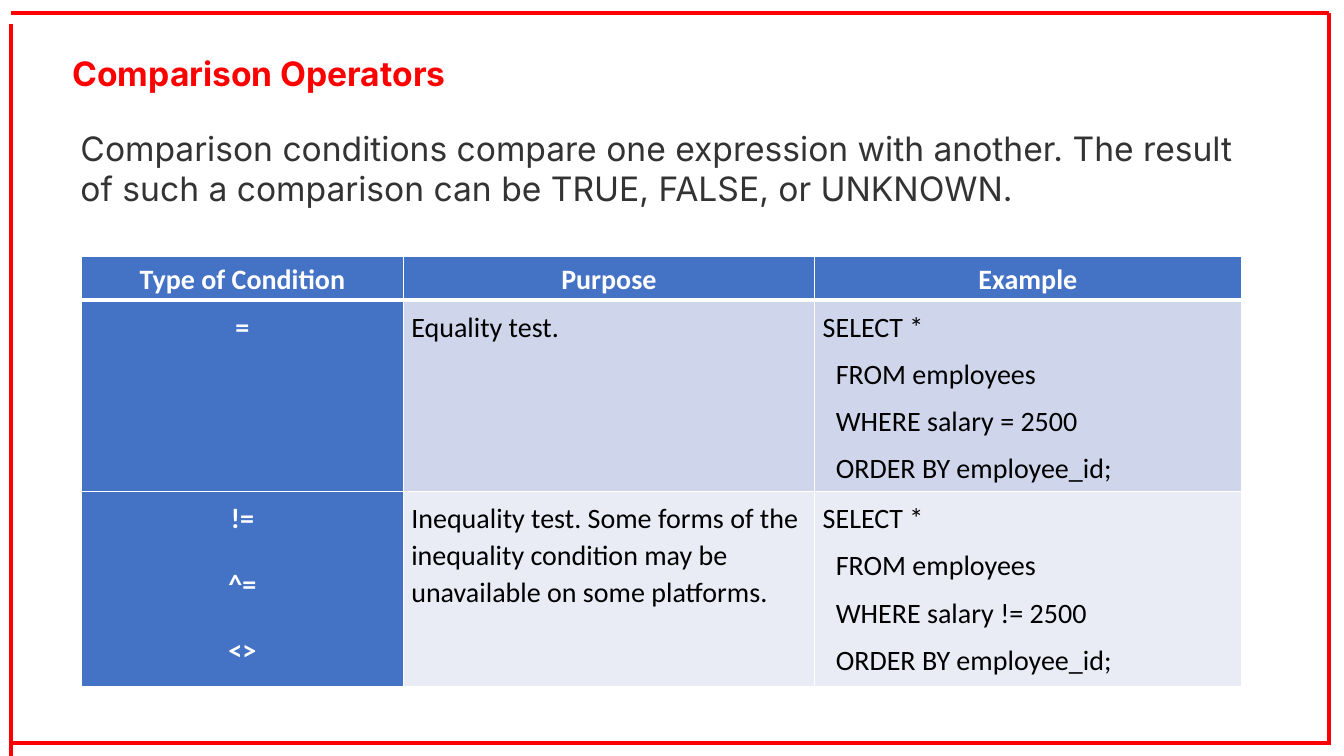
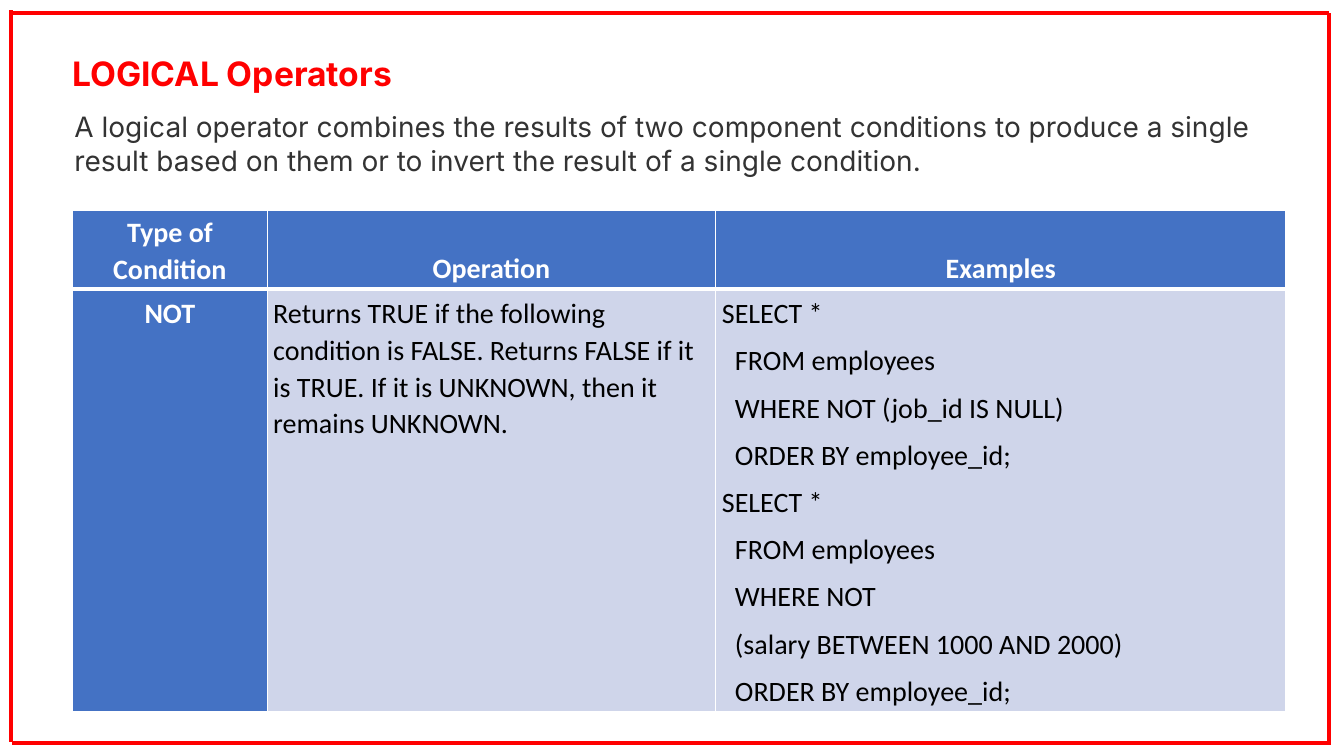
import lxml.etree
import pptx
import pptx.dml.color
import pptx.enum.shapes
import pptx.enum.text
import pptx.oxml.ns
import pptx.util

Inches = pptx.util.Inches
Pt = pptx.util.Pt
Align = pptx.enum.text.PP_ALIGN
Anchor = pptx.enum.text.MSO_ANCHOR
qn = pptx.oxml.ns.qn

RED, GREY, BLACK, WHITE, BLUE = "FF0000", "333333", "000000", "FFFFFF", "4472C4"
BANDS = ["CFD5EA", "E9EBF5"]
TITLE_FONT, TABLE_FONT = "Inter", "Calibri"
LINE_SPACING = 1.07
CODE_INDENT = 0.13

COMPARISON_ROWS = [
    [["Type of Condition"], ["Purpose"], ["Example"]],
    [["="], ["Equality test."],
     ["SELECT *", "FROM employees", "WHERE salary = 2500", "ORDER BY employee_id;"]],
    [["!=", "^=", "<>"],
     ["Inequality test. Some forms of the inequality condition may be unavailable on some platforms."],
     ["SELECT *", "FROM employees", "WHERE salary != 2500", "ORDER BY employee_id;"]],
]
LOGICAL_ROWS = [
    [["Type of Condition"], ["Operation"], ["Examples"]],
    [["NOT"],
     ["Returns TRUE if the following condition is FALSE. Returns FALSE if it is TRUE. "
      "If it is UNKNOWN, then it remains UNKNOWN."],
     ["SELECT *", "FROM employees", "WHERE NOT (job_id IS NULL)", "ORDER BY employee_id;",
      "SELECT *", "FROM employees", "WHERE NOT", "(salary BETWEEN 1000 AND 2000)",
      "ORDER BY employee_id;"]],
]


def colour(value):
    """Turn a hex string into a colour."""
    return pptx.dml.color.RGBColor.from_string(value)


def style_font(paragraph, name, size, value, bold=False):
    """Set the font of a whole paragraph."""
    font = paragraph.font
    font.name, font.size, font.bold = name, Pt(size), bold
    font.color.rgb = colour(value)


def add_text(page, box, text, size, value, bold=False, wrap=True):
    """Place one paragraph of text in a box."""
    frame = page.shapes.add_textbox(*map(Inches, box)).text_frame
    frame.word_wrap = wrap
    paragraph = frame.paragraphs[0]
    paragraph.text = text
    style_font(paragraph, TITLE_FONT, size, value, bold)


def add_frame(page, left_top, left_bottom):
    """Draw the four red border lines, the left one between the given heights."""
    left, right, top, bottom = 0.11, 13.18, 0.13, 7.37
    for ends in [
        (left, left_top, left, left_bottom),
        (right, top, right, 7.39),
        (left, top, right, top),
        (0.12, bottom, right, bottom),
    ]:
        line = page.shapes.add_connector(
            pptx.enum.shapes.MSO_CONNECTOR.STRAIGHT, *map(Inches, ends))
        line.line.color.rgb = colour(RED)
        line.line.width = Pt(3)
        lxml.etree.SubElement(line._element.spPr, qn("a:effectLst"))


def set_borders(cell, row):
    """Give a cell white borders, thick between header and body."""
    properties = cell._tc.get_or_add_tcPr()
    widths = {"L": 1, "R": 1, "T": 3 if row == 1 else 1, "B": 3 if row == 0 else 1}
    for side, width in widths.items():
        border = lxml.etree.SubElement(properties, qn(f"a:ln{side}"), w=str(Pt(width)))
        fill = lxml.etree.SubElement(border, qn("a:solidFill"))
        lxml.etree.SubElement(fill, qn("a:srgbClr"), val=WHITE)


def fill_cell(cell, row, column, lines, margin):
    """Write and style one table cell according to its row and column."""
    header, label, code = row == 0, column == 0, column == 2
    strong = header or label
    set_borders(cell, row)
    cell.fill.solid()
    cell.fill.fore_color.rgb = colour(BLUE if strong else BANDS[(row - 1) % 2])
    cell.vertical_anchor = Anchor.BOTTOM if header else Anchor.TOP
    inset = Inches(margin / 2 if header else margin)
    cell.margin_left = cell.margin_right = cell.margin_top = cell.margin_bottom = inset
    cell.text_frame.text = "\n".join(lines)
    for index, paragraph in enumerate(cell.text_frame.paragraphs):
        style_font(paragraph, TABLE_FONT, 20, WHITE if strong else BLACK, strong)
        paragraph.line_spacing = LINE_SPACING
        paragraph.alignment = Align.CENTER if strong else Align.LEFT
        if len(lines) > 1:
            paragraph.space_after = Pt(7.5 if code else 10.5)
        if label and index:
            paragraph.space_before = Pt(10.5)
        if code and not header and lines[index] != "SELECT *":
            paragraph._p.get_or_add_pPr().set("marL", str(Inches(CODE_INDENT)))


def add_operator_table(page, left, top, widths, heights, rows, margin):
    """Build the operator table with its top left corner at the given point."""
    table = page.shapes.add_table(
        len(rows), len(widths), Inches(left), Inches(top),
        Inches(sum(widths)), Inches(sum(heights))).table
    table.first_row = table.horz_banding = False
    for column, width in zip(table.columns, widths):
        column.width = Inches(width)
    for row, height in zip(table.rows, heights):
        row.height = Inches(height)
    for row, cells in enumerate(rows):
        for column, lines in enumerate(cells):
            fill_cell(table.cell(row, column), row, column, lines, margin)


def add_operator_page(deck, title, title_width, left_line, summary, summary_box, size, table):
    """Add a slide with border, title, summary and operator table."""
    page = deck.slides.add_slide(deck.slide_layouts[6])
    add_text(page, (0.62, 0.48, title_width, 0.5), title, 24, RED, bold=True, wrap=False)
    add_frame(page, *left_line)
    add_text(page, summary_box, summary, size, GREY)
    add_operator_table(page, **table)


def main():
    """Build and save the deck."""
    deck = pptx.Presentation()
    deck.slide_width, deck.slide_height = Inches(13.33), Inches(7.5)
    add_operator_page(
        deck, "Comparison Operators", 3.96, (0.24, 7.5),
        "Comparison conditions compare one expression with another. "
        "The result of such a comparison can be TRUE, FALSE, or UNKNOWN.",
        (0.7, 1.22, 11.87, 0.91), 24,
        dict(left=0.81, top=2.54, widths=[3.19, 4.08, 4.23],
             heights=[0.43, 1.89, 1.93], rows=COMPARISON_ROWS, margin=0.08))
    add_operator_page(
        deck, "LOGICAL Operators", 3.41, (0.1, 7.36),
        "A logical operator combines the results of two component conditions to produce "
        "a single result based on them or to invert the result of a single condition.",
        (0.64, 1.04, 12.2, 0.77), 20,
        dict(left=0.72, top=2.09, widths=[1.93, 4.45, 5.65],
             heights=[0.76, 4.2], rows=LOGICAL_ROWS, margin=0.06))
    deck.save("out.pptx")


if __name__ == "__main__":
    main()
